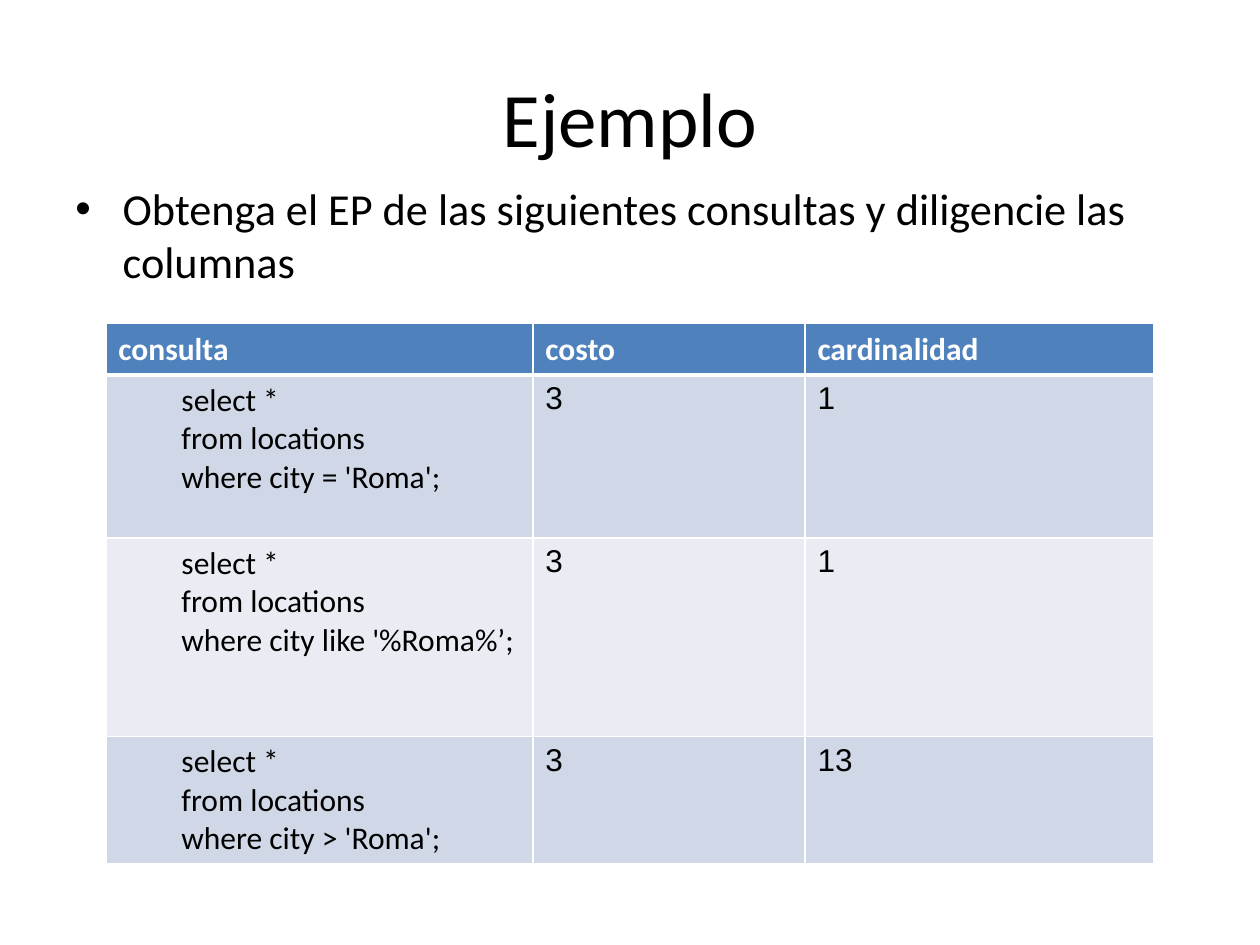
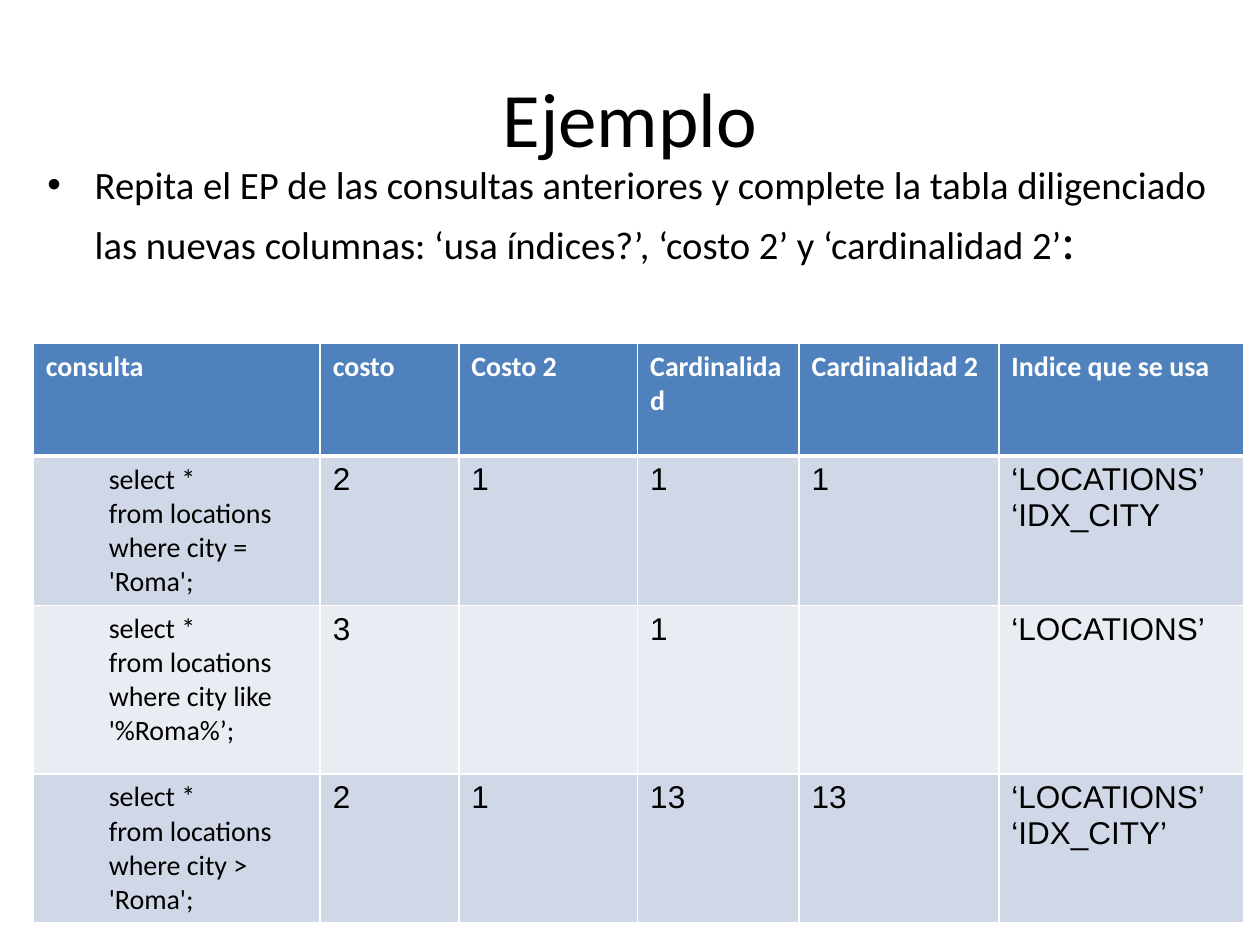
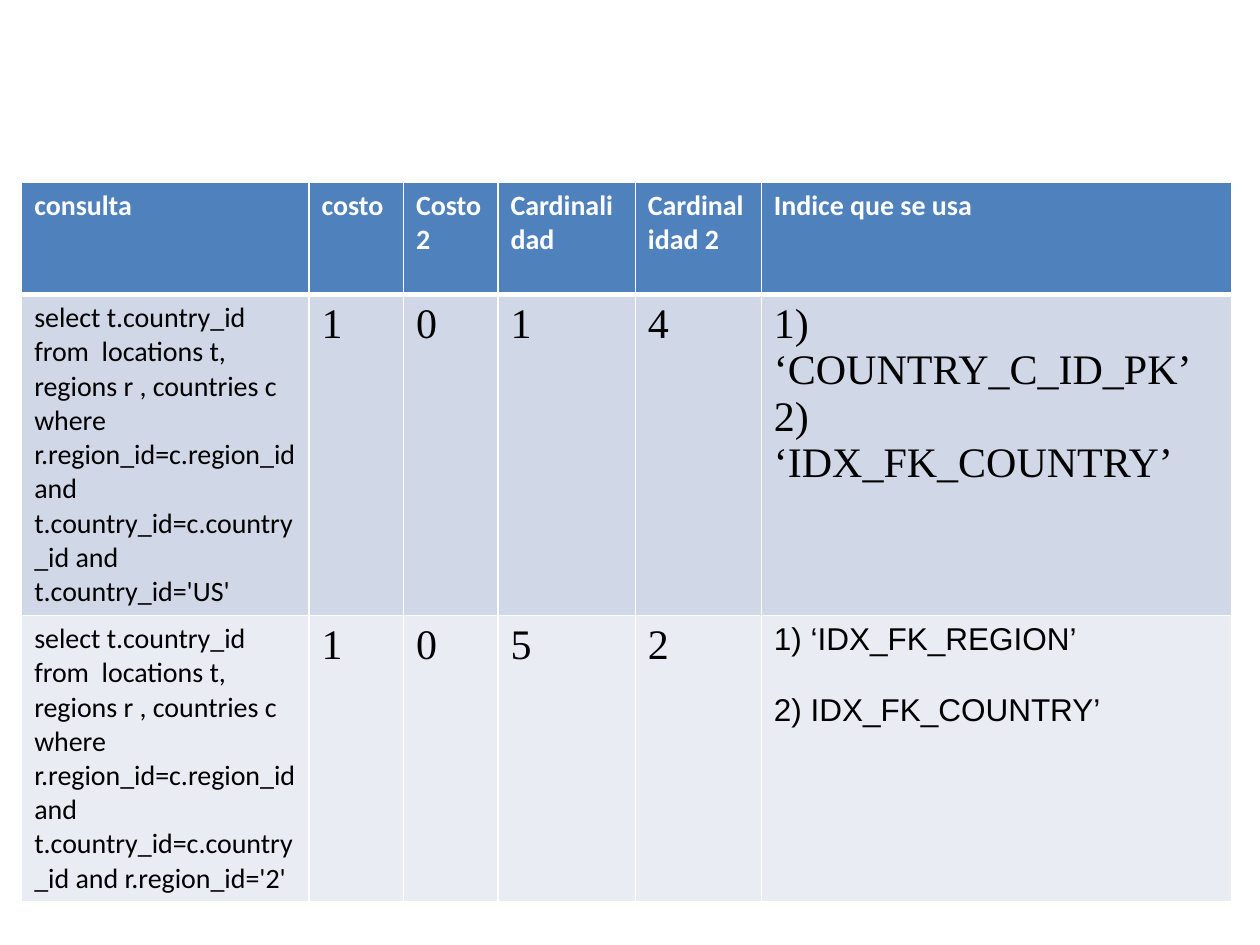
"""Build three slides of SQL execution-plan exercises."""
from dataclasses import dataclass

from lxml.etree import SubElement
from pptx import Presentation
from pptx.dml.color import RGBColor as RGB
from pptx.enum.text import MSO_ANCHOR as ANCHOR, PP_ALIGN as ALIGN
from pptx.oxml.ns import qn
from pptx.util import Pt

COLORS = {
    "text": "000000",
    "white": "FFFFFF",
    "header": "4F81BD",
    "odd": "D0D8E7",
    "even": "E9ECF3",
}


@dataclass(frozen=True)
class Style:
    """Look of a run and of the paragraph that holds it."""
    size: float
    font: str = "Calibri"
    color: str = "text"
    bold: bool = False
    indent: float = 0
    hanging: float = 0
    before: float = 0


@dataclass(frozen=True)
class Box:
    """Position and size in points."""
    left: float
    top: float
    width: float
    height: float


@dataclass(frozen=True)
class Cell:
    """Lines of one table cell and their style."""
    lines: tuple[str, ...]
    style: Style


@dataclass(frozen=True)
class Grid:
    """Table with its place, column widths and row heights."""
    left: float
    top: float
    widths: list[float]
    heights: list[float]
    rows: list[list[Cell]]


TITLE = Style(44)
VALUE = Style(18, "Arial")
SPACED = Style(18, "Arial", before=20.7)
BIG_VALUE = Style(24, "Times New Roman")
WIDE_HEADS = ["consulta", "costo", "Costo 2", "Cardinalidad ", "Cardinalidad 2", "Indice que se usa"]
CONDITIONS = ["city = 'Roma'", "city like '%Roma%’", "city > 'Roma'"]
JOIN_FILTERS = ["t.country_id='US'", "r.region_id='2'"]


def add_run(p, text: str, style: Style) -> None:
    """Add one formatted run to a paragraph."""
    r = p.add_run()
    r.text = text
    r.font.size = Pt(style.size)
    r.font.name = style.font
    r.font.bold = style.bold
    r.font.color.rgb = RGB.from_string(COLORS[style.color])


def format_paragraph(p, style: Style) -> None:
    """Apply indents and spacing to a paragraph."""
    pPr = p._p.get_or_add_pPr()
    if style.indent:
        pPr.set("marL", str(Pt(style.indent)))
        pPr.set("indent", str(Pt(-style.hanging)))
    if style.before:
        p.space_before = Pt(style.before)


def add_textbox(s, box: Box):
    """Add a wrapping text box and return its text frame."""
    sp = s.shapes.add_textbox(Pt(box.left), Pt(box.top), Pt(box.width), Pt(box.height))
    tf = sp.text_frame
    tf.word_wrap = True
    return tf


def add_title(s, text: str) -> None:
    """Add the centred slide title."""
    tf = add_textbox(s, Box(36, 21.6, 648, 90))
    tf.vertical_anchor = ANCHOR.MIDDLE
    p = tf.paragraphs[0]
    p.alignment = ALIGN.CENTER
    add_run(p, text, TITLE)


def add_bullet(s, box: Box, runs: list[tuple[str, float]]) -> None:
    """Add a bulleted paragraph made of sized runs."""
    p = add_textbox(s, box).paragraphs[0]
    format_paragraph(p, Style(18, indent=27, hanging=27, before=6.4))
    pPr = p._p.get_or_add_pPr()
    SubElement(pPr, qn("a:buFont"), typeface="Arial")
    SubElement(pPr, qn("a:buChar"), char="•")
    for text, size in runs:
        add_run(p, text, Style(size))


def add_borders(cell, bottom: float) -> None:
    """Give a cell white borders with a chosen bottom width."""
    tcPr = cell._tc.get_or_add_tcPr()
    for side, width in zip("LRTB", (0.96, 0.96, 0.96, bottom)):
        ln = SubElement(tcPr, qn(f"a:ln{side}"), w=str(Pt(width)))
        fill = SubElement(ln, qn("a:solidFill"))
        SubElement(fill, qn("a:srgbClr"), val=COLORS["white"])


def fill_cell(cell, content: Cell, row: int) -> None:
    """Write and colour one table cell according to its row."""
    add_borders(cell, 0.96 if row else 3)
    cell.fill.solid()
    band = ("odd" if row % 2 else "even") if row else "header"
    cell.fill.fore_color.rgb = RGB.from_string(COLORS[band])
    tf = cell.text_frame
    for i, line in enumerate(content.lines):
        p = tf.add_paragraph() if i else tf.paragraphs[0]
        format_paragraph(p, content.style)
        add_run(p, line, content.style)


def add_grid(s, grid: Grid) -> None:
    """Draw a table."""
    frame = s.shapes.add_table(
        len(grid.rows), len(grid.widths), Pt(grid.left), Pt(grid.top),
        Pt(sum(grid.widths)), Pt(sum(grid.heights)))
    table = frame.table
    table.first_row = table.horz_banding = False
    for column, width in zip(table.columns, grid.widths):
        column.width = Pt(width)
    for i, (height, row) in enumerate(zip(grid.heights, grid.rows)):
        table.rows[i].height = Pt(height)
        for j, content in enumerate(row):
            fill_cell(table.cell(i, j), content, i)


def header_row(labels: list[str], size: float) -> list[Cell]:
    """Return the bold white heading cells."""
    return [Cell((label,), Style(size, color="white", bold=True)) for label in labels]


def value_cells(values: str, style: Style = VALUE) -> list[Cell]:
    """Return one cell per comma-separated value."""
    return [Cell((v,) if v else (), style) for v in values.split(",")]


def city_query(condition: str, size: float) -> Cell:
    """Return the indented query on locations."""
    return Cell(("select *", "from locations", f"where {condition};"), Style(size, indent=36))


def join_query(condition: str) -> Cell:
    """Return the three-table join query."""
    return Cell((
        "select t.country_id from  locations t, regions r , countries c",
        f"where r.region_id=c.region_id and t.country_id=c.country_id and {condition}",
    ), Style(16))


def build_first(s) -> None:
    """Build the slide with the base costs."""
    add_title(s, "Ejemplo")
    add_bullet(s, Box(36, 100, 648, 68), [
        ("Obtenga el EP de las siguientes consultas y diligencie las columnas", 25.3)])
    values = ["3,1", "3,1", "3,13"]
    rows = [[city_query(c, 18), *value_cells(v)] for c, v in zip(CONDITIONS, values)]
    heads = header_row(["consulta", "costo", "cardinalidad"], 18)
    add_grid(s, Grid(60.5, 185, [244, 155.5, 199.5], [29.2, 93.2, 113.6, 72.6], [heads, *rows]))


def build_second(s) -> None:
    """Build the slide that compares costs with indexes."""
    add_title(s, "Ejemplo")
    add_bullet(s, Box(20, 88.6, 680.4, 96.5), [
        ("Repita el EP de las consultas anteriores y complete la tabla diligenciado las nuevas "
         "columnas: ‘usa índices?’, ‘costo 2’ y ‘cardinalidad 2’", 22.1),
        (":", 29.4)])
    values = ["2,1,1,1", "3,,1,", "2,1,13,13"]
    indexes = [("‘LOCATIONS’", "‘IDX_CITY"), ("‘LOCATIONS’",), ("‘LOCATIONS’", "‘IDX_CITY’")]
    rows = [[city_query(c, 16), *value_cells(v), Cell(i, VALUE)]
            for c, v, i in zip(CONDITIONS, values, indexes)]
    add_grid(s, Grid(19, 196.4, [164, 79.2, 102.2, 92.2, 114.2, 139.8], [64.2, 85.3, 96.4, 85.3],
                     [header_row(WIDE_HEADS, 16), *rows]))


def build_third(s) -> None:
    """Build the slide with the join queries."""
    values = ["1,0,1,4", "1,0,5,2"]
    indexes = [
        Cell(("1) ‘COUNTRY_C_ID_PK’", "2)", "‘IDX_FK_COUNTRY’"), BIG_VALUE),
        Cell(("1) ‘IDX_FK_REGION’", "2) IDX_FK_COUNTRY’"), SPACED),
    ]
    rows = [[join_query(f), *value_cells(v, BIG_VALUE), i]
            for f, v, i in zip(JOIN_FILTERS, values, indexes)]
    add_grid(s, Grid(12.4, 104.2, [164.2, 54, 54, 78.5, 72, 269], [64.2, 183.4, 163.6],
                     [header_row(WIDE_HEADS, 16), *rows]))


def main() -> None:
    """Create the presentation and save it."""
    prs = Presentation()
    prs.slide_width, prs.slide_height = Pt(720), Pt(540)
    for build in (build_first, build_second, build_third):
        build(prs.slides.add_slide(prs.slide_layouts[6]))
    prs.save("out.pptx")


main()
